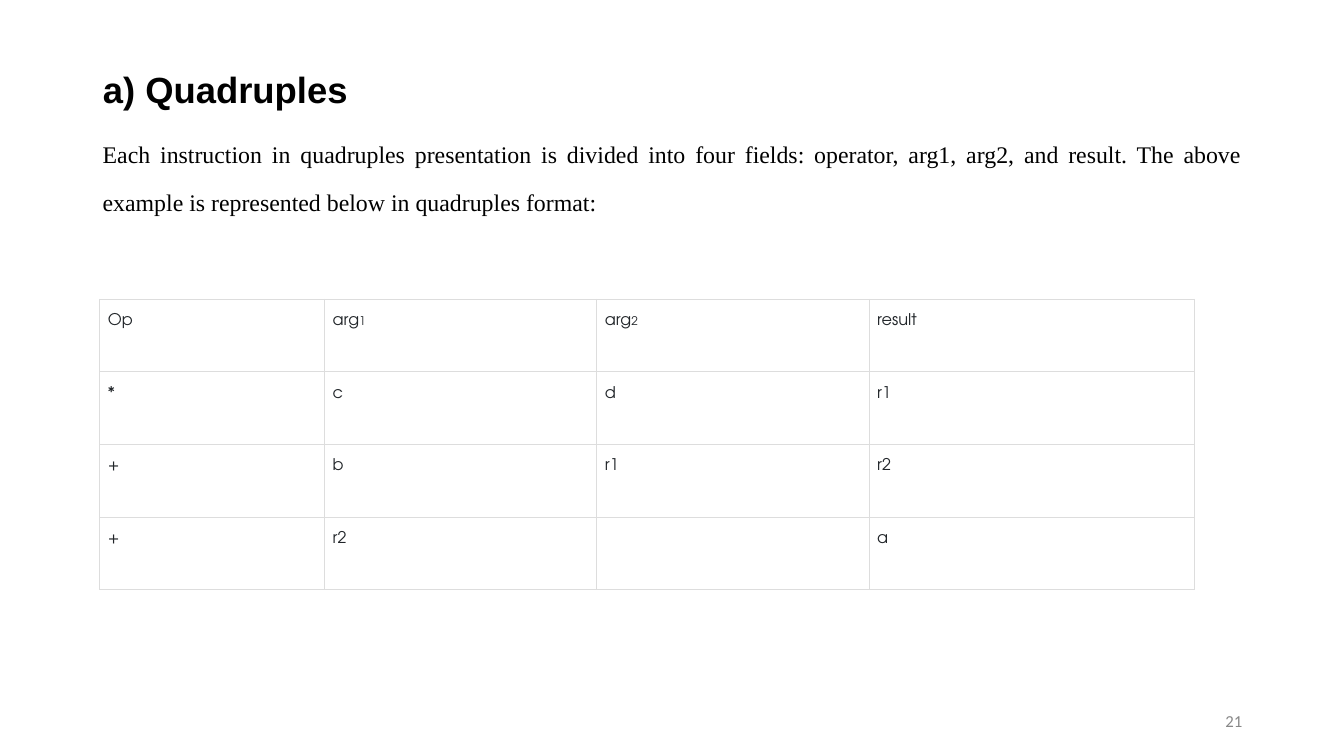
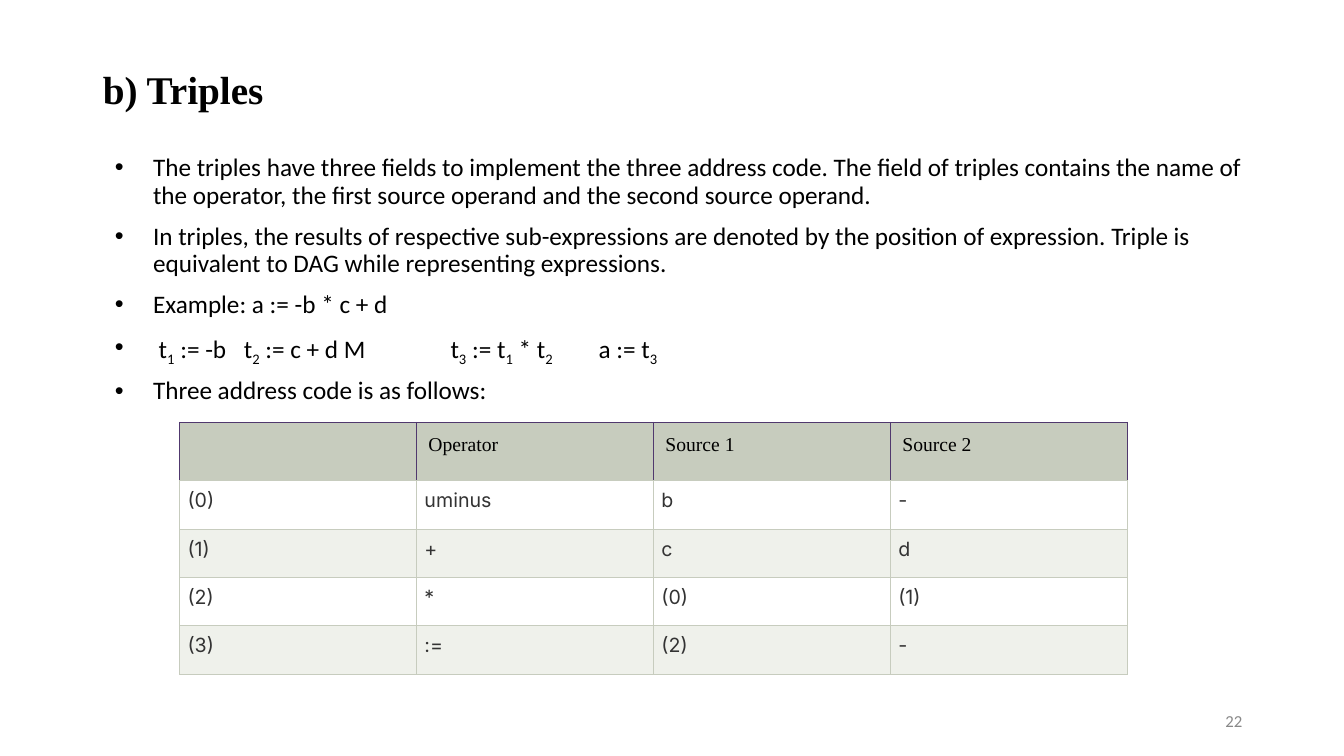
from lxml import etree
from pptx import Presentation
from pptx.dml.color import RGBColor
from pptx.enum.text import MSO_ANCHOR, PP_ALIGN
from pptx.oxml.ns import qn
from pptx.util import Inches, Pt

LEFT, RIGHT, JUST = PP_ALIGN.LEFT, PP_ALIGN.RIGHT, PP_ALIGN.JUSTIFY
TOP, MID = MSO_ANCHOR.TOP, MSO_ANCHOR.MIDDLE
WIDE, HIGH = 13.33, 7.5
EDGE, SPAN = 0.92, 11.5
BLACK, GREY = "000000", "888888"
SAGE, PALE, WHITE, PLUM = "C7CCBE", "EFF1EB", "FFFFFF", "50386E"
SERIF, SANS = "Times New Roman", "Calibri"
SIDES = "LRTB"
TABS = (1.4, 3.45, 4.92)

SLIDES = [
    {
        "title": ("a) Quadruples", "Arial", 26),
        "page": "21",
        "top": 1.14,
        "body": [
            "Each instruction in quadruples presentation is divided into four fields: "
            "operator, arg1, arg2, and result. The above example is represented below "
            "in quadruples format:",
        ],
        "font": (SERIF, 17, BLACK),
        "para": {"align": JUST, "line": 1.68},
        "bullet": False,
        "at": (0.99, 2.97),
        "cols": (2.23, 2.7, 2.7, 3.23),
        "rows": (0.72,) * 4,
        "cells": [
            ("Op", "arg_1", "arg_2", "result"),
            ("*", "c", "d", "r1"),
            ("+", "b", "r1", "r2"),
            ("+", "r2", "", "a"),
        ],
        "head": {"font": ("TeX Gyre Adventor", 11.5, "212529"), "line": 1.43,
                 "small": 8.5, "pad": 0.08, "edges": ("DDDDDD",) * 4},
        "fills": (None,),
    },
    {
        "title": ("b) Triples", SERIF, 28),
        "page": "22",
        "top": 1.49,
        "body": [
            "The triples have three fields to implement the three address code. The "
            "field of triples contains the name of the operator, the first source "
            "operand and the second source operand.",
            "In triples, the results of respective sub-expressions are denoted by the "
            "position of expression. Triple is equivalent to DAG while representing "
            "expressions.",
            "Example: a := -b * c + d",
            " t_1 := -b\tt_2 := c + d M\tt_3 := t_1 * t_2\ta := t_3",
            "Three address code is as follows:",
        ],
        "font": (SANS, 18, BLACK),
        "para": {"line": 0.9, "gap": 10},
        "bullet": True,
        "at": (1.78, 4.19),
        "cols": (2.35,) * 4,
        "rows": (0.58,) + (0.48,) * 4,
        "cells": [
            ("", "Operator", "Source 1", "Source 2"),
            ("(0)", "uminus", "b", "-"),
            ("(1)", "+", "c", "d"),
            ("(2)", "*", "(0)", "(1)"),
            ("(3)", ":=", "(2)", "-"),
        ],
        "head": {"font": (SERIF, 14, BLACK), "pad": 0.12,
                 "edges": (PLUM, PLUM, PLUM, SAGE)},
        "rest": {"font": ("Inter", 14, "333333"), "align": JUST, "pad": 0.08,
                 "edges": (SAGE,) * 4},
        "fills": (SAGE, WHITE, PALE, WHITE, PALE),
    },
]


def rgb(code):
    return RGBColor.from_string(code)


def style(font, name, size, color, bold=False):
    font.name, font.size, font.bold = name, Pt(size), bold
    font.color.rgb = rgb(color)


def write(para, text, font, align=LEFT, line=1.0, small=None, gap=0, bold=False):
    para.alignment, para.line_spacing = align, line
    para.space_before = Pt(gap)
    name, size, color = font
    if not text:
        style(para.font, name, size, color)
        return
    first, *marks = text.split("_")
    parts = [(first, False)]
    for mark in marks:
        parts += [(mark[0], True), (mark[1:], False)]
    for part, low in parts:
        if part:
            run = para.add_run()
            run.text = part
            style(run.font, name, small if low and small else size, color, bold)
            if low and not small:
                run.font._element.set("baseline", "-25000")


def dot(para):
    props = para._p.get_or_add_pPr()
    props.set("marL", str(Inches(0.5)))
    props.set("indent", str(Inches(-0.38)))
    tint = etree.SubElement(props, qn("a:buClr"))
    etree.SubElement(tint, qn("a:srgbClr"), val=BLACK)
    etree.SubElement(props, qn("a:buFont"), typeface="Arial")
    etree.SubElement(props, qn("a:buChar"), char="•")
    stops = etree.SubElement(props, qn("a:tabLst"))
    for stop in TABS:
        etree.SubElement(stops, qn("a:tab"), pos=str(Inches(stop)), algn="l")


def place(shape, left, top, width, height, anchor):
    shape.left, shape.top = Inches(left), Inches(top)
    shape.width, shape.height = Inches(width), Inches(height)
    frame = shape.text_frame
    frame.word_wrap, frame.vertical_anchor = True, anchor
    return frame


def box(slide, left, top, width, height, anchor):
    return place(slide.shapes.add_textbox(0, 0, 0, 0), left, top, width, height, anchor)


def edge(cell, colors):
    props = cell._tc.get_or_add_tcPr()
    for side, color in zip(SIDES, colors):
        line = etree.SubElement(props, qn("a:ln" + side), w=str(Pt(0.75)))
        fill = etree.SubElement(line, qn("a:solidFill"))
        etree.SubElement(fill, qn("a:srgbClr"), val=color)


def paint(cell, text, fill, pad, edges, **look):
    cell.margin_left = cell.margin_right = Inches(pad)
    cell.margin_top = cell.margin_bottom = Inches(pad)
    edge(cell, edges)
    if fill:
        cell.fill.solid()
        cell.fill.fore_color.rgb = rgb(fill)
    else:
        cell.fill.background()
    write(cell.text_frame.paragraphs[0], text, **look)


def grid(slide, data):
    cols, rows = data["cols"], data["rows"]
    size = (*data["at"], sum(cols), sum(rows))
    table = slide.shapes.add_table(len(rows), len(cols), *map(Inches, size)).table
    table.first_row = table.horz_banding = False
    for col, width in zip(table.columns, cols):
        col.width = Inches(width)
    for i, (row, height) in enumerate(zip(table.rows, rows)):
        row.height = Inches(height)
        look = data.get("rest", data["head"]) if i else data["head"]
        fill = data["fills"][i % len(data["fills"])]
        for cell, text in zip(row.cells, data["cells"][i]):
            paint(cell, text, fill, **look)


def build(deck, data):
    slide = deck.slides.add_slide(deck.slide_layouts[5])
    text, name, size = data["title"]
    frame = place(slide.shapes.title, EDGE, 0.4, SPAN, 0.96, MID)
    write(frame.paragraphs[0], text, (name, size, BLACK), bold=True)
    frame = box(slide, EDGE, data["top"], SPAN, 6.75 - data["top"], TOP)
    for i, text in enumerate(data["body"]):
        para = frame.add_paragraph() if i else frame.paragraphs[0]
        if data["bullet"]:
            dot(para)
        look = data["para"] if i else {**data["para"], "gap": 0}
        write(para, text, data["font"], **look)
    frame = box(slide, EDGE + SPAN - 3, 6.95, 3, 0.4, MID)
    write(frame.paragraphs[0], data["page"], (SANS, 12, GREY), align=RIGHT)
    grid(slide, data)


def main():
    deck = Presentation()
    deck.slide_width, deck.slide_height = Inches(WIDE), Inches(HIGH)
    for data in SLIDES:
        build(deck, data)
    deck.save("out.pptx")


if __name__ == "__main__":
    main()
